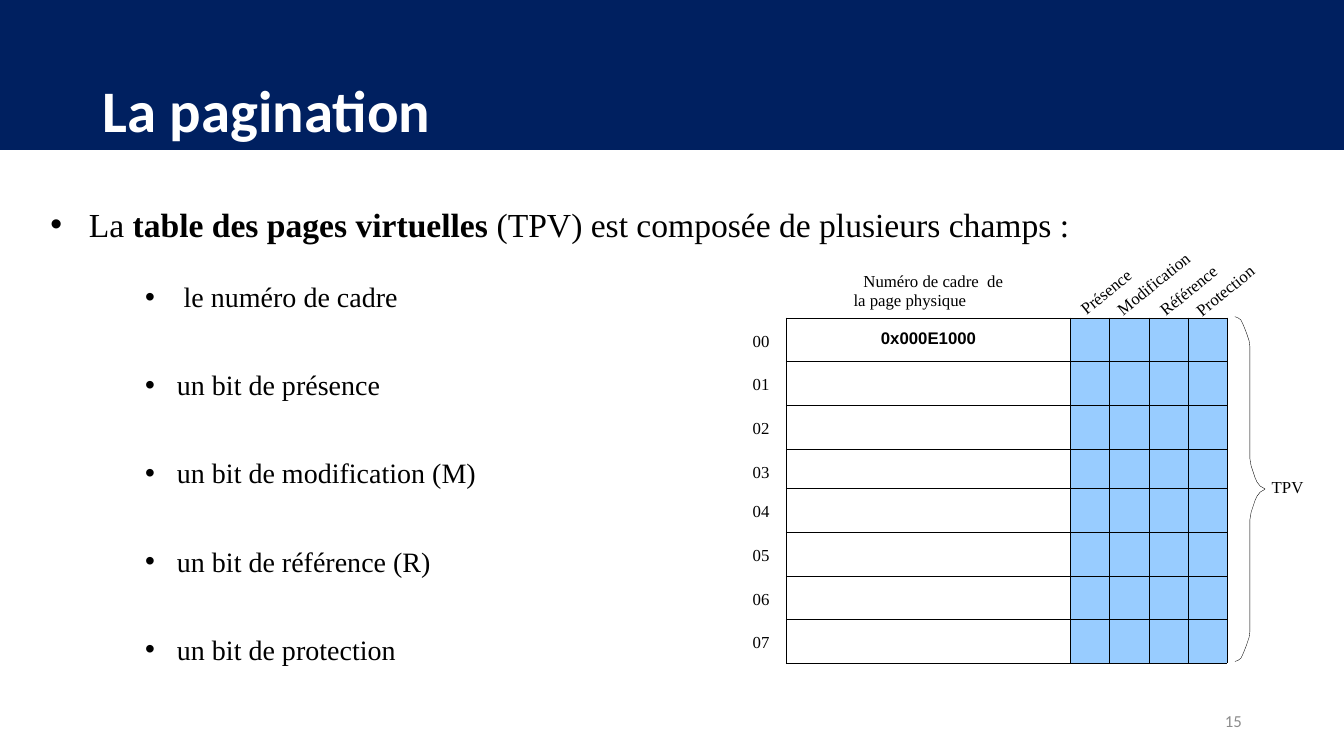
from itertools import accumulate

from lxml.etree import SubElement
from pptx import Presentation
from pptx.dml.color import RGBColor
from pptx.enum.shapes import MSO_SHAPE as Preset
from pptx.enum.text import MSO_ANCHOR as Anchor, PP_ALIGN as Align
from pptx.oxml.ns import qn
from pptx.util import Cm, Pt

NAVY = RGBColor(0x00, 0x20, 0x60)
WHITE = RGBColor(0xFF, 0xFF, 0xFF)
BLACK = RGBColor(0x00, 0x00, 0x00)
GREY = RGBColor(0x8C, 0x8C, 0x8C)
SKY = RGBColor(0x98, 0xCC, 0xFF)
SERIF = "Times New Roman"

TABLE_LEFT, TABLE_TOP = 19.81, 8.01
COLUMN_WIDTHS = [7.16] + [0.99] * 4
ROW_HEIGHTS = [1.1] * 3 + [1.0] + [1.1] * 4

FIELDS = [
    ("le numéro de cadre", 0.97),
    ("un bit de présence", 0.8),
    ("un bit de modification (M)", 0.8),
    ("un bit de référence (R)", 0.8),
    ("un bit de protection", 0.8),
]
BIT_LABELS = [
    ("Présence", 27.1, 7.06, 1.85),
    ("Modification", 27.97, 6.93, 2.31),
    ("Référence", 29.08, 7.04, 2.01),
    ("Protection", 30.0, 7.06, 1.96),
]
BRACE_UNIT = Cm(0.01)
BRACE_HEIGHT = 869
BRACE_HALF = [
    (0, 0), (8, 3), (15, 8), (20, 18), (25, 30), (30, 43), (36, 61),
    (38, 76), (38, 94), (38, 340), (38, 358), (41, 376), (46, 391),
    (51, 406), (56, 417), (64, 427), (76, 434),
]


def style_span(span, size, font=SERIF, color=BLACK, bold=False):
    span.font.size = Pt(size)
    span.font.name = font
    span.font.color.rgb = color
    span.font.bold = bold


def add_text(page, text, left, top, width, height, size, inset=0, **style):
    box = page.shapes.add_textbox(Cm(left), Cm(top), Cm(width), Cm(height))
    frame = box.text_frame
    frame.word_wrap = True
    frame.margin_left = frame.margin_right = Cm(inset)
    frame.margin_top = frame.margin_bottom = Cm(inset / 2)
    frame.text = text
    for span in frame.paragraphs[0].runs:
        style_span(span, size, **style)
    return box


def set_indent(para, left, first):
    props = para._p.get_or_add_pPr()
    props.set("marL", str(Cm(left)))
    props.set("indent", str(Cm(first)))
    return props


def add_bullet(page, text, left, top, width, height, size, hang):
    box = add_text(page, text, left, top, width, height, size)
    box.text_frame.margin_top = Cm(0.03)
    para = box.text_frame.paragraphs[0]
    props = set_indent(para, hang + 0.03, -hang)
    SubElement(props, qn("a:buFont"), typeface="Arial")
    SubElement(props, qn("a:buChar"), char="•")
    return para


def add_banner(page, width):
    banner = page.shapes.add_shape(Preset.RECTANGLE, 0, 0, width, Cm(3.76))
    banner.shadow.inherit = False
    banner.fill.solid()
    banner.fill.fore_color.rgb = NAVY
    banner.line.color.rgb = NAVY
    banner.line.width = Pt(1)
    title = add_text(page, "La pagination", 2.34, 1.02, 29.21, 3.68, 42,
                     inset=0.25, font="Calibri", color=WHITE, bold=True)
    title.text_frame.vertical_anchor = Anchor.MIDDLE
    title.text_frame.paragraphs[0].line_spacing = 0.9


def add_intro(page):
    para = add_bullet(page, "La ", 1.24, 5.11, 27.18, 1.07, 24, 0.97)
    for text, bold in [("table des pages virtuelles", True),
                       (" (TPV) est composée de plusieurs champs :", False)]:
        span = para.add_run()
        span.text = text
        style_span(span, 24, bold=bold)


def add_cell_borders(cell):
    props = cell._tc.get_or_add_tcPr()
    for side in ("a:lnL", "a:lnR", "a:lnT", "a:lnB"):
        border = SubElement(props, qn(side), w=str(Pt(0.25)))
        fill = SubElement(border, qn("a:solidFill"))
        SubElement(fill, qn("a:srgbClr"), val=str(BLACK))


def add_page_table(page):
    frame = page.shapes.add_table(
        len(ROW_HEIGHTS), len(COLUMN_WIDTHS), Cm(TABLE_LEFT), Cm(TABLE_TOP),
        Cm(sum(COLUMN_WIDTHS)), Cm(sum(ROW_HEIGHTS)))
    table = frame.table
    table.first_row = table.horz_banding = False
    for column, width in zip(table.columns, COLUMN_WIDTHS):
        column.width = Cm(width)
    for row, height in zip(table.rows, ROW_HEIGHTS):
        row.height = Cm(height)
        for index, cell in enumerate(row.cells):
            cell.margin_left = cell.margin_right = 0
            cell.margin_top = cell.margin_bottom = 0
            add_cell_borders(cell)
            if index:
                cell.fill.solid()
                cell.fill.fore_color.rgb = SKY
            else:
                cell.fill.background()
    address = table.cell(0, 0)
    address.margin_left, address.margin_top = Cm(2.39), Cm(0.28)
    address.text_frame.text = "0x000E1000"
    style_span(address.text_frame.paragraphs[0].runs[0], 12, "Arial", bold=True)


def add_table_labels(page):
    row_tops = accumulate(ROW_HEIGHTS[:-1], initial=TABLE_TOP)
    for number, top in enumerate(row_tops):
        add_text(page, f"{number:02}", 18.97, top + 0.32, 0.56, 0.56, 12)
    for text, left, top, width in BIT_LABELS:
        label = add_text(page, text, left, top, width, 0.43, 12)
        label.text_frame.paragraphs[0].line_spacing = Pt(12)
        label.rotation = 321
    heading = add_text(page, "Numéro de cadre  de la page physique",
                       21.48, 6.76, 3.86, 1.07, 12)
    heading.text_frame.margin_top = Cm(0.08)
    para = heading.text_frame.paragraphs[0]
    para.line_spacing = Pt(13.9)
    set_indent(para, 0.03, 0.25)


def add_brace(page):
    mirrored = [(x, BRACE_HEIGHT - y) for x, y in reversed(BRACE_HALF)]
    builder = page.shapes.build_freeform(0, 0, scale=BRACE_UNIT)
    builder.add_line_segments(BRACE_HALF[1:] + mirrored, close=False)
    brace = builder.convert_to_shape(Cm(31.12), Cm(7.98))
    brace.shadow.inherit = False
    brace.fill.background()
    brace.line.color.rgb = BLACK
    brace.line.width = Pt(0.25)
    add_text(page, "TPV", 32.05, 12.01, 0.89, 0.56, 12)


def add_page_number(page):
    box = add_text(page, "15", 23.93, 17.65, 7.62, 1.02, 12,
                   inset=0.25, font="Calibri", color=GREY)
    box.text_frame.vertical_anchor = Anchor.MIDDLE
    box.text_frame.paragraphs[0].alignment = Align.RIGHT


def main():
    deck = Presentation()
    deck.slide_width, deck.slide_height = Cm(33.87), Cm(19.05)
    page = deck.slides.add_slide(deck.slide_layouts[6])
    add_banner(page, deck.slide_width)
    add_intro(page)
    for index, (text, hang) in enumerate(FIELDS):
        add_bullet(page, text, 3.63, 7.02 + 2.22 * index, 9.7, 0.89, 20, hang)
    add_page_table(page)
    add_table_labels(page)
    add_brace(page)
    add_page_number(page)
    deck.save("out.pptx")


if __name__ == "__main__":
    main()
